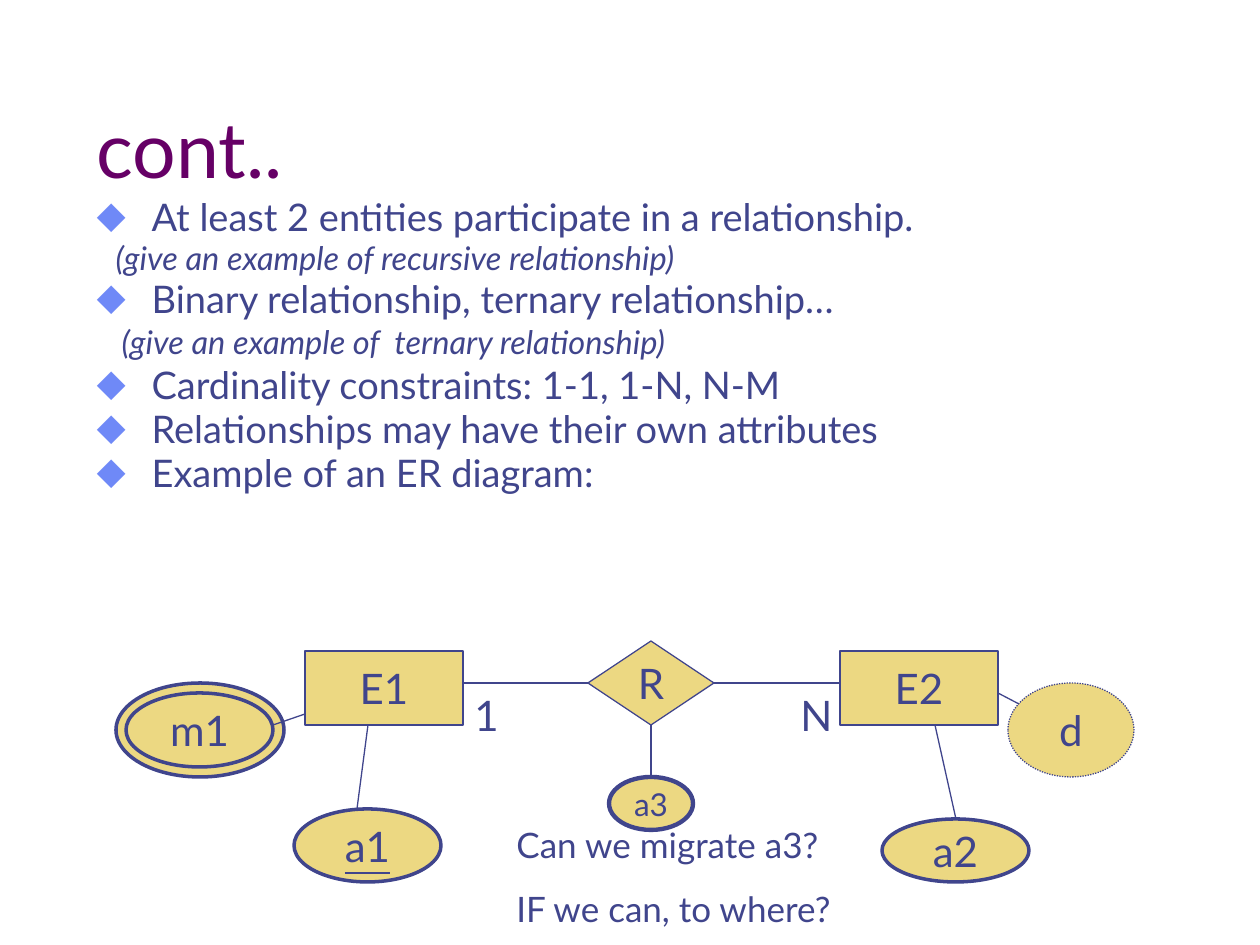
"""Build the ER diagram slide."""
from dataclasses import dataclass

from lxml import etree
from pptx import Presentation
from pptx import util as u
from pptx.dml.color import RGBColor
from pptx.enum import dml, shapes, text
from pptx.oxml import ns


@dataclass(frozen=True)
class Theme:
    font: str = "Lato"
    title: str = "660066"
    ink: str = "40458C"
    fill: str = "ECD882"
    bullet: str = "6F89F7"
    title_pt: float = 44
    item_pt: float = 21.7
    note_pt: float = 18.6
    label_pt: float = 24
    small_pt: float = 18
    ask_pt: float = 20
    thin: float = 0.75
    thick: float = 2
    heavy: float = 2.5


T = Theme()
SHAPE = shapes.MSO_SHAPE
BULLET_PX = 55

ITEMS = [
    ("At least 2 entities participate in a relationship.", None),
    ("(give an example of recursive relationship)", (19, 6, 0)),
    ("Binary relationship, ternary relationship…", None),
    ("(give an example of  ternary relationship)", (25, 7, 1)),
    ("Cardinality constraints: 1-1, 1-N, N-M", None),
    ("Relationships may have their own attributes", None),
    ("Example of an ER diagram:", None),
]
LINES = [
    (462, 683, 588, 683), (714, 683, 840, 683),
    (368, 725, 357, 809), (935, 725, 956, 819),
    (273, 725, 305, 714), (651, 725, 651, 777),
    (998, 693, 1019, 704),
]
NODES = [
    (SHAPE.OVAL, (116, 683, 168, 94), "", T.thick, T.label_pt),
    (SHAPE.RECTANGLE, (305, 651, 158, 74), "E1", T.thin, T.label_pt),
    (SHAPE.RECTANGLE, (840, 651, 158, 74), "E2", T.thin, T.label_pt),
    (SHAPE.OVAL, (126, 693, 147, 74), "m1", T.thick, T.label_pt),
    (SHAPE.OVAL, (882, 819, 147, 63), "a2", T.thick, T.label_pt),
    (SHAPE.DIAMOND, (588, 641, 126, 84), "R", T.thin, T.label_pt),
    (SHAPE.OVAL, (294, 809, 147, 73), "a1", T.thick, T.label_pt),
    (SHAPE.OVAL, (609, 777, 84, 53), "a3", T.heavy, T.small_pt),
    (SHAPE.OVAL, (1008, 683, 126, 94), "d", T.thin, T.label_pt),
]


def px(n):
    """Turn pixels into EMU."""
    return u.Emu(round(n * 914400 / 126))


def rgb(value):
    """Return a colour from its hex code."""
    return RGBColor.from_string(value)


def style(p, size, color=T.ink, italic=False):
    """Format every run of a paragraph."""
    for r in p.runs:
        r.font.name = T.font
        r.font.size = u.Pt(size)
        r.font.color.rgb = rgb(color)
        r.font.italic = italic


def place(sp, box):
    """Move and size a placeholder."""
    sp.left, sp.top, sp.width, sp.height = map(px, box)
    sp.text_frame.auto_size = text.MSO_AUTO_SIZE.NONE


def set_indent(p, margin, first, bullet):
    """Set the indents of a paragraph and its bullet, if any."""
    pPr = p._p.get_or_add_pPr()
    pPr.set("marL", str(px(margin)))
    pPr.set("indent", str(px(first)))
    if not bullet:
        etree.SubElement(pPr, ns.qn("a:buNone"))
        return
    clr = etree.SubElement(pPr, ns.qn("a:buClr"))
    etree.SubElement(clr, ns.qn("a:srgbClr"), val=T.bullet)
    etree.SubElement(pPr, ns.qn("a:buSzPct"), val="110000")
    etree.SubElement(pPr, ns.qn("a:buChar"), char="⬥")


def add_title(s, words):
    """Fill the title placeholder."""
    sp = s.shapes.title
    place(sp, (84, 42, 1071, 158))
    tf = sp.text_frame
    tf.text = words
    tf.vertical_anchor = text.MSO_ANCHOR.BOTTOM
    p = tf.paragraphs[0]
    p.alignment = text.PP_ALIGN.LEFT
    style(p, T.title_pt, T.title)


def add_list(s, items):
    """Fill the body placeholder with bullets and italic notes."""
    sp = s.placeholders[1]
    place(sp, (84, 200, 1103, 399))
    tf = sp.text_frame
    tf.text = "\n".join(words for words, _ in items)
    for i, (p, (_, note)) in enumerate(zip(tf.paragraphs, items)):
        margin, before, after = note or (BULLET_PX, 7, 0)
        set_indent(p, margin, 0 if note else -margin, not note)
        p.line_spacing = 0.7
        p.space_before = u.Pt(before if i else 0)
        p.space_after = u.Pt(after)
        style(p, T.note_pt if note else T.item_pt, italic=bool(note))


def add_node(s, kind, box, words, width, size):
    """Add an outlined diagram shape with a centred label."""
    sp = s.shapes.add_shape(kind, *map(px, box))
    sp.shadow.inherit = False
    sp.fill.solid()
    sp.fill.fore_color.rgb = rgb(T.fill)
    sp.line.color.rgb = rgb(T.ink)
    sp.line.width = u.Pt(width)
    if words:
        tf = sp.text_frame
        tf.text = words
        tf.word_wrap = False
        tf.vertical_anchor = text.MSO_ANCHOR.MIDDLE
        p = tf.paragraphs[0]
        p.alignment = text.PP_ALIGN.CENTER
        style(p, size)
    return sp


def add_line(s, ends):
    """Add a thin straight connector."""
    sp = s.shapes.add_connector(shapes.MSO_CONNECTOR.STRAIGHT, *map(px, ends))
    sp.line.color.rgb = rgb(T.ink)
    sp.line.width = u.Pt(T.thin)
    etree.SubElement(sp._element.spPr, ns.qn("a:effectLst"))


def add_text(s, box, words, size):
    """Add a wrapped text box with spaced paragraphs."""
    tf = s.shapes.add_textbox(*map(px, box)).text_frame
    tf.word_wrap = True
    tf.text = words
    for i, p in enumerate(tf.paragraphs):
        p.space_before = u.Pt(12.5 if i else 0)
        style(p, size)


def main():
    """Build and save the slide."""
    prs = Presentation()
    prs.slide_width, prs.slide_height = px(1260), px(945)
    s = prs.slides.add_slide(prs.slide_layouts[1])
    add_title(s, "cont..")
    add_list(s, ITEMS)
    nodes = {node[2]: add_node(s, *node) for node in NODES}
    nodes["a1"].text_frame.paragraphs[0].runs[0].font.underline = True
    nodes["d"].line.dash_style = dml.MSO_LINE.ROUND_DOT
    for ends in LINES:
        add_line(s, ends)
    add_text(s, (462, 683, 74, 63), "1", T.label_pt)
    add_text(s, (788, 683, 74, 63), "N", T.label_pt)
    add_text(s, (504, 817, 473, 118),
             "Can we migrate a3?\nIF we can, to where?", T.ask_pt)
    prs.save("out.pptx")


if __name__ == "__main__":
    main()
